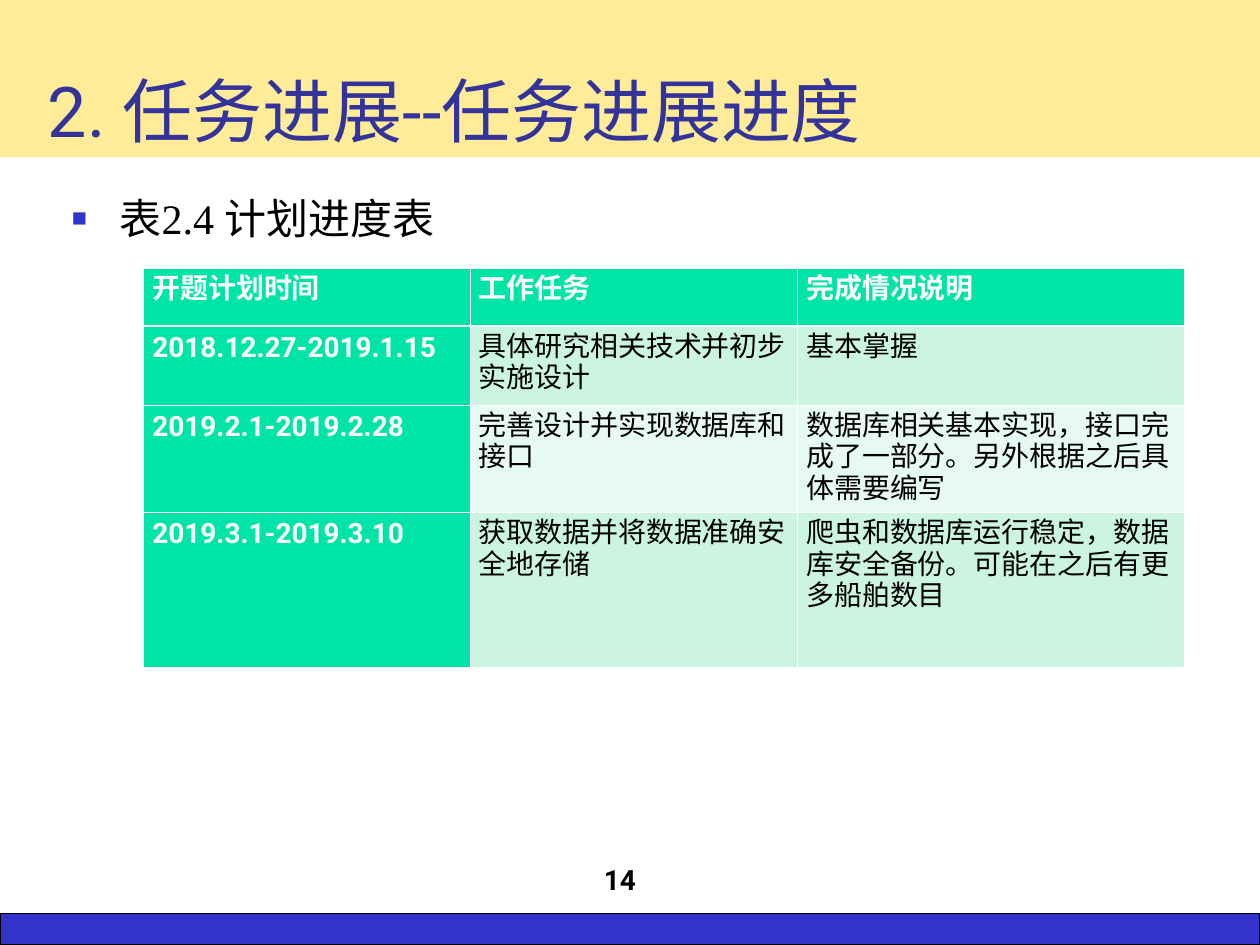
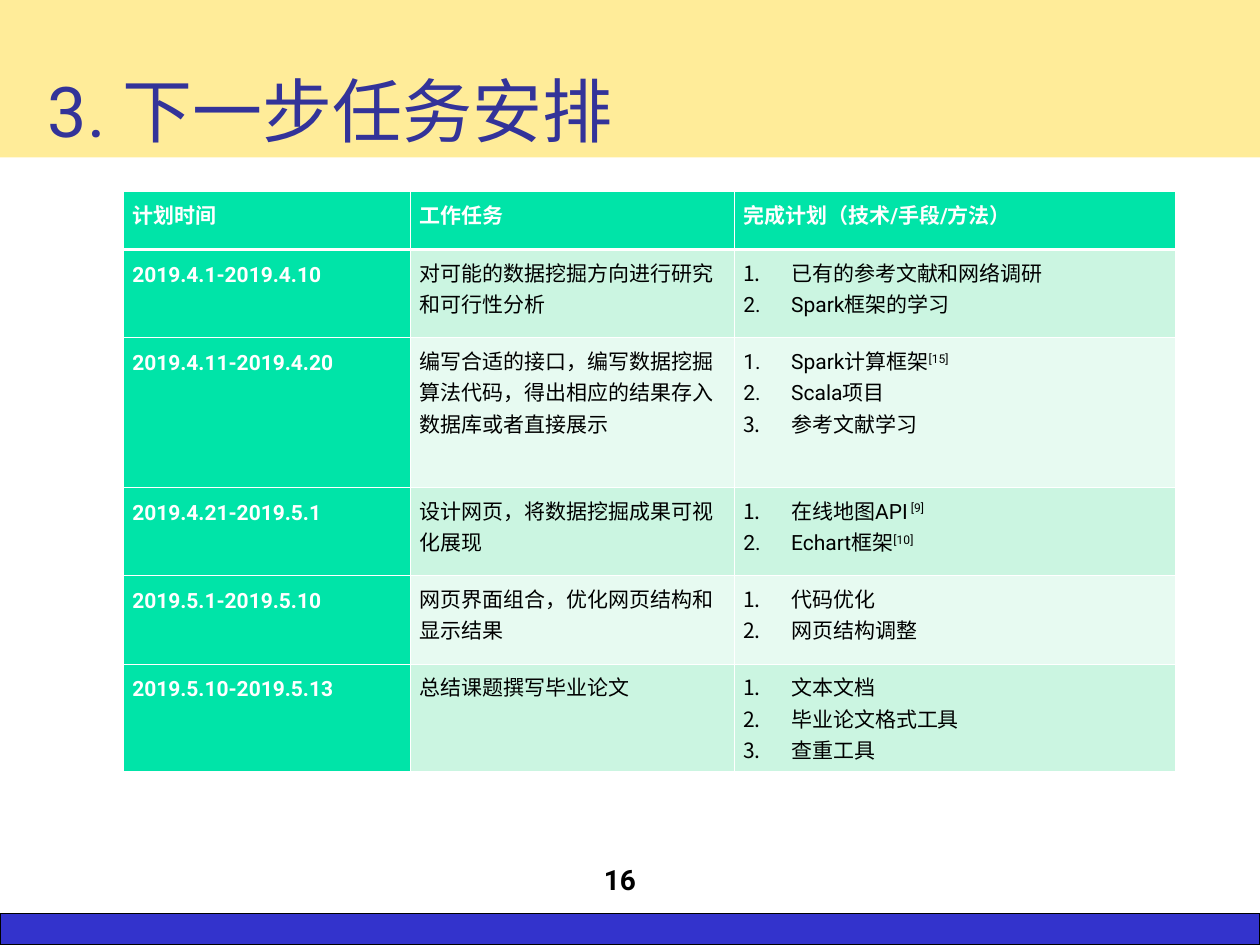
from lxml.etree import SubElement
from pptx import Presentation
from pptx.dml.color import RGBColor
from pptx.enum.shapes import MSO_SHAPE
from pptx.enum.text import MSO_ANCHOR, MSO_AUTO_SIZE, PP_ALIGN
from pptx.oxml.ns import qn
from pptx.util import Inches, Pt

COLORS = {
    "navy": "333399",
    "blue": "3333CC",
    "cream": "FFEC99",
    "green": "00E4A8",
    "mint": "CBF5E1",
    "pale": "E7FAF1",
    "black": "000000",
    "white": "FFFFFF",
}

PROGRESS = [
    ["开题计划时间", "工作任务", "完成情况说明"],
    ["2018.12.27-2019.1.15", "具体研究相关技术并初步实施设计", "基本掌握"],
    ["2019.2.1-2019.2.28", "完善设计并实现数据库和接口",
     "数据库相关基本实现，接口完成了一部分。另外根据之后具体需要编写"],
    ["2019.3.1-2019.3.10", "获取数据并将数据准确安全地存储",
     "爬虫和数据库运行稳定，数据库安全备份。可能在之后有更多船舶数目"],
]

NEXT_STEPS = [
    ["计划时间", "工作任务", "完成计划（技术/手段/方法）"],
    ["2019.4.1-2019.4.10", "对可能的数据挖掘方向进行研究和可行性分析",
     [("已有的参考文献和网络调研",), ("Spark框架的学习",)]],
    ["2019.4.11-2019.4.20", "编写合适的接口，编写数据挖掘算法代码，得出相应的结果存入数据库或者直接展示",
     [("Spark计算框架", "[15]"), ("Scala项目",), ("参考文献学习",)]],
    ["2019.4.21-2019.5.1", "设计网页，将数据挖掘成果可视化展现",
     [("在线地图API", " [9]"), ("Echart框架", "[10]")]],
    ["2019.5.1-2019.5.10", "网页界面组合，优化网页结构和显示结果",
     [("代码优化",), ("网页结构调整",)]],
    ["2019.5.10-2019.5.13", "总结课题撰写毕业论文",
     [("文本文档",), ("毕业论文格式工具",), ("查重工具",)]],
]


def rgb(color):
    """Return the named colour."""
    return RGBColor.from_string(COLORS[color])


def write(paragraph, text, size, color="black", bold=False, font="Roboto", superscript=False):
    """Append a formatted run to a paragraph."""
    run = paragraph.add_run()
    run.text = text
    run.font.size = Pt(size)
    run.font.name = font
    run.font.bold = bold
    run.font.color.rgb = rgb(color)
    if superscript:
        run._r.get_or_add_rPr().set("baseline", "30000")


def add_bullet(paragraph, color, tag, size=100, **attributes):
    """Give a paragraph a hanging bullet or number."""
    props = paragraph._p.get_or_add_pPr()
    props.set("marL", str(Inches(0.38)))
    props.set("indent", str(-Inches(0.38)))
    SubElement(SubElement(props, qn("a:buClr")), qn("a:srgbClr"), val=COLORS[color])
    SubElement(props, qn("a:buSzPct"), val=str(size * 1000))
    SubElement(props, qn(tag), **attributes)


def add_borders(cell, top, bottom):
    """Draw white borders around a table cell."""
    props = cell._tc.get_or_add_tcPr()
    for side, width in (("L", 0.45), ("R", 0.45), ("T", top), ("B", bottom)):
        border = SubElement(props, qn(f"a:ln{side}"), w=str(Pt(width)))
        fill = SubElement(border, qn("a:solidFill"))
        SubElement(fill, qn("a:srgbClr"), val=COLORS["white"])


class Deck:
    """Hold the shared style and the current slide."""

    def __init__(self):
        """Start an empty presentation."""
        self.prs = Presentation()
        self.prs.slide_width = Inches(10)
        self.prs.slide_height = Inches(7.5)

    def new_slide(self, layout, title, number):
        """Add a slide with its title, bottom band and page number."""
        self.slide = self.prs.slides.add_slide(self.prs.slide_layouts.get_by_name(layout))
        self.bottom_band()
        self.page_number(number)
        self.title(title)

    def place(self, shape, left, top, width, height):
        """Move and size a shape, in inches."""
        shape.left, shape.top = Inches(left), Inches(top)
        shape.width, shape.height = Inches(width), Inches(height)

    def bottom_band(self):
        """Draw the blue band along the bottom edge."""
        band = self.slide.shapes.add_shape(
            MSO_SHAPE.RECTANGLE, 0, Inches(7.25), Inches(10), Inches(0.25))
        band.shadow.inherit = False
        band.fill.solid()
        band.fill.fore_color.rgb = rgb("blue")
        band.line.color.rgb = rgb("black")
        band.line.width = Pt(0.75)

    def page_number(self, number):
        """Write the page number above the bottom band."""
        frame = self.slide.shapes.add_textbox(
            Inches(3.67), Inches(6.66), Inches(2.5), Inches(0.5)).text_frame
        frame.word_wrap = True
        frame.vertical_anchor = MSO_ANCHOR.BOTTOM
        frame.paragraphs[0].alignment = PP_ALIGN.CENTER
        write(frame.paragraphs[0], str(number), 16, bold=True)

    def title(self, text):
        """Fill the title placeholder as a cream band."""
        heading = self.slide.shapes.title
        self.place(heading, 0, 0, 10, 1.25)
        heading.fill.solid()
        heading.fill.fore_color.rgb = rgb("cream")
        frame = heading.text_frame
        frame.auto_size = MSO_AUTO_SIZE.NONE
        frame.vertical_anchor = MSO_ANCHOR.BOTTOM
        frame.margin_left = Inches(0.38)
        frame.paragraphs[0].alignment = PP_ALIGN.LEFT
        write(frame.paragraphs[0], text, 40, "navy")

    def caption(self, text):
        """Fill the body placeholder with a bulleted caption."""
        body = self.slide.placeholders[1]
        self.place(body, 0.47, 1.48, 9.22, 4.92)
        body.text_frame.auto_size = MSO_AUTO_SIZE.NONE
        line = body.text_frame.paragraphs[0]
        add_bullet(line, "blue", "a:buChar", size=60, char="■")
        line.space_before = Pt(0)
        write(line, text, 24, font="Times New Roman")

    def schedule(self, rows, left, top, widths, heights, size):
        """Add a schedule table with green headings and striped rows."""
        table = self.slide.shapes.add_table(
            len(rows), len(widths), Inches(left), Inches(top),
            Inches(sum(widths)), Inches(sum(heights))).table
        table.horz_banding = False
        for column, width in zip(table.columns, widths):
            column.width = Inches(width)
        for r, (entries, height) in enumerate(zip(rows, heights)):
            table.rows[r].height = Inches(height)
            for c, content in enumerate(entries):
                self.cell(table.cell(r, c), content, r, c, size)

    def cell(self, cell, content, r, c, size):
        """Format and fill one schedule cell."""
        heading = r == 0 or c == 0
        add_borders(cell, top=1.47 if r == 1 else 0.45, bottom=1.47 if r == 0 else 0.45)
        cell.fill.solid()
        cell.fill.fore_color.rgb = rgb("green" if heading else "mint" if r % 2 else "pale")
        cell.margin_left = cell.margin_right = Inches(0.07)
        numbered = isinstance(content, list)
        for i, (text, *citation) in enumerate(content if numbered else [(content,)]):
            frame = cell.text_frame
            line = frame.add_paragraph() if i else frame.paragraphs[0]
            if numbered:
                add_bullet(line, "black", "a:buAutoNum", type="arabicPeriod")
            line.line_spacing = Pt(18)
            write(line, text, size, "white" if heading else "black", bold=heading)
            for mark in citation:
                write(line, mark, size, superscript=True)


def main():
    """Build the two schedule slides."""
    deck = Deck()
    deck.new_slide("Title and Content", "2. 任务进展--任务进展进度", 14)
    deck.caption("表2.4 计划进度表")
    deck.schedule(PROGRESS, 1.14, 2.13, [2.59, 2.6, 3.07], [0.46, 0.63, 0.85, 1.23], 16)
    deck.new_slide("Title Only", "3. 下一步任务安排", 16)
    deck.schedule(NEXT_STEPS, 0.98, 1.52, [2.28, 2.57, 3.5],
                  [0.46, 0.7, 1.19, 0.7, 0.7, 0.85], 12)
    deck.prs.save("out.pptx")


if __name__ == "__main__":
    main()
